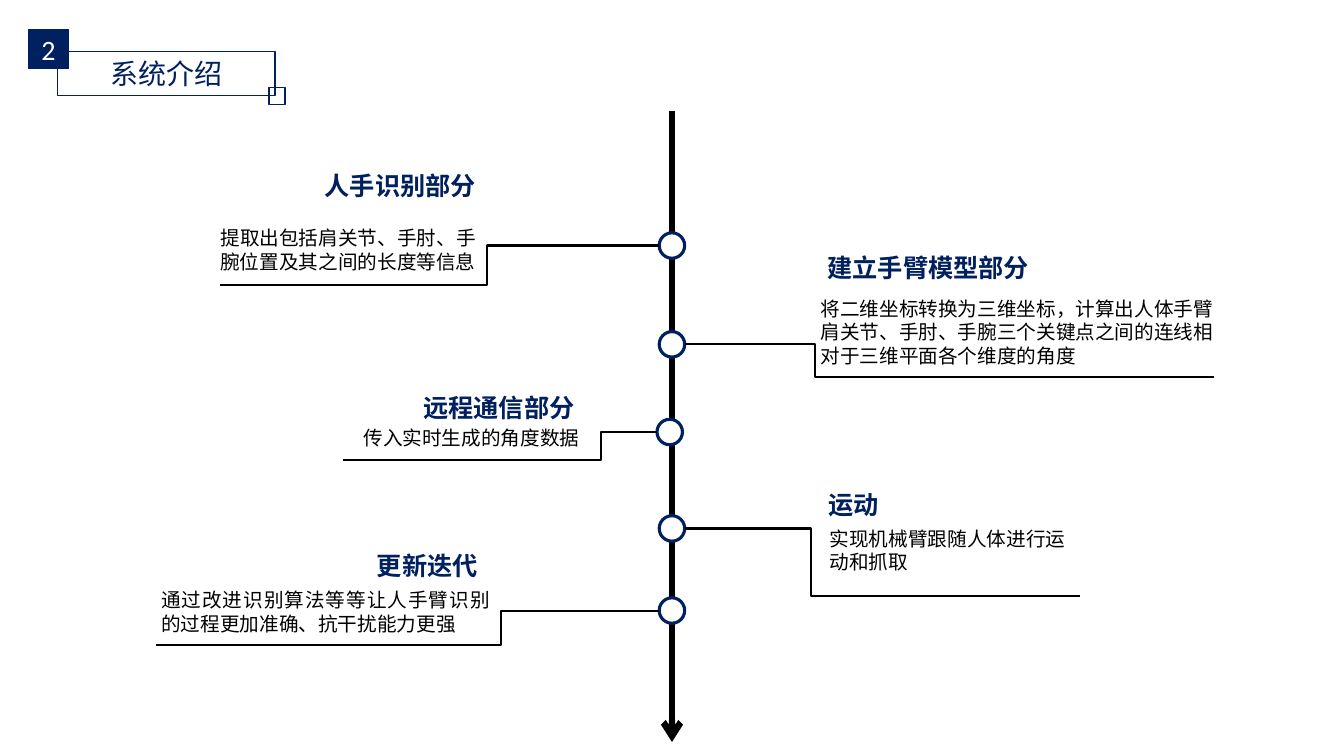
"""Build the system introduction slide: a vertical timeline with five stages."""
from lxml import etree
from pptx import Presentation
from pptx.dml.color import RGBColor
from pptx.enum import shapes, text
from pptx.oxml import ns
from pptx.util import Pt

NAVY = RGBColor(0x00, 0x20, 0x60)
BLACK = RGBColor(0x00, 0x00, 0x00)
WHITE = RGBColor(0xFF, 0xFF, 0xFF)
CJK = "Noto Sans CJK SC"
LEFT, RIGHT = text.PP_ALIGN.LEFT, text.PP_ALIGN.RIGHT
CENTER, JUSTIFY = text.PP_ALIGN.CENTER, text.PP_ALIGN.JUSTIFY
AXIS_X = 480
NODE = 18.2

prs = Presentation()
prs.slide_width, prs.slide_height = Pt(960), Pt(540)
slide = prs.slides.add_slide(prs.slide_layouts[6])
add_shape, add_connector = slide.shapes.add_shape, slide.shapes.add_connector


def write(words, box=None, holder=None, size=14, font=CJK, color=BLACK, bold=False, align=LEFT):
    holder = holder or slide.shapes.add_textbox(*map(Pt, box))
    frame = holder.text_frame
    frame.word_wrap = True
    if box:
        frame.margin_left = frame.margin_right = Pt(3.6)
        frame.margin_top = frame.margin_bottom = Pt(1.8)
    else:
        frame.vertical_anchor = text.MSO_ANCHOR.MIDDLE
    paragraph = frame.paragraphs[0]
    paragraph.alignment = align
    run = paragraph.add_run()
    run.text = words
    run.font.size, run.font.bold, run.font.name = Pt(size), bold, font
    run.font.color.rgb = color
    etree.SubElement(run._r.get_or_add_rPr(), ns.qn("a:ea"), typeface=font)


def draw(add, kind, place, color, width, fill=None):
    item = add(kind, *map(Pt, place))
    item.line.color.rgb, item.line.width = color, Pt(width)
    if add == add_connector:
        etree.SubElement(item._element.spPr, ns.qn("a:effectLst"))
        return item
    item.shadow.inherit = False
    if fill is None:
        item.fill.background()
    else:
        item.fill.solid()
        item.fill.fore_color.rgb = fill
    return item


axis = draw(add_connector, shapes.MSO_CONNECTOR.STRAIGHT, (AXIS_X, 79.4, AXIS_X, 530), BLACK, 4.5)
etree.SubElement(axis.get_or_add_ln(), ns.qn("a:tailEnd"), type="arrow")

stages = [
    (480, 175.4, 347.8, 157, 203.8, "人手识别部分", (216, 119.5, 127.5, 25.2),
     "提取出包括肩关节、手肘、手腕位置及其之间的长度等信息", (143.3, 159.8, 200.2, 37.4), RIGHT),
    (480, 246, 582.5, 867, 269.3, "建立手臂模型部分", (587.5, 178.6, 183.6, 25.2),
     "将二维坐标转换为三维坐标，计算出人体手臂肩关节、手肘、手腕三个关键点之间的连线相对于三维平面各个维度的角度",
     (582.5, 210.2, 295.2, 54.7), LEFT),
    (478.4, 308.6, 429.1, 244.8, 328.3, "远程通信部分", (279.4, 278.6, 134.6, 25.2),
     "传入实时生成的角度数据", (231.1, 302.4, 186.5, 20.9), RIGHT),
    (480, 377.5, 579.6, 771.8, 425.5, "运动", (588.2, 347.8, 183.6, 25.2),
     "实现机械臂跟随人体进行运动和抓取", (589, 374.4, 186.5, 37.4), LEFT),
    (480, 436.1, 357.8, 111.6, 460.8, "更新迭代", (210.2, 391, 134.6, 25.2),
     "通过改进识别算法等等让人手臂识别的过程更加准确、抗干扰能力更强",
     (111.6, 418.3, 241.9, 37.4), JUSTIFY),
]
for node_x, node_y, bend_x, end_x, end_y, heading, heading_box, detail, detail_box, align in stages:
    draw(add_shape, shapes.MSO_SHAPE.OVAL, (node_x - NODE / 2, node_y - NODE / 2, NODE, NODE),
         NAVY, 2.25, WHITE)
    on_right = end_x > AXIS_X
    start_x = node_x + (NODE / 2 if on_right else -NODE / 2)
    branch = draw(add_connector, shapes.MSO_CONNECTOR.ELBOW, (start_x, node_y, end_x, end_y),
                  BLACK, 1.5)
    bend = round((bend_x - start_x) / (end_x - start_x) * 100000)
    guides = branch._element.spPr.find(ns.qn("a:prstGeom")).get_or_add_avLst()
    etree.SubElement(guides, ns.qn("a:gd"), name="adj1", fmla=f"val {bend}")
    write(heading, heading_box, size=18, font="Open Sans", color=NAVY, bold=True,
          align=LEFT if on_right else RIGHT)
    write(detail, detail_box, align=align)

title = draw(add_shape, shapes.MSO_SHAPE.RECTANGLE, (41, 36.7, 155.5, 31.7), NAVY, 1)
write("系统介绍", holder=title, size=20, color=NAVY, align=CENTER)
number = draw(add_shape, shapes.MSO_SHAPE.RECTANGLE, (20.2, 20.9, 28.8, 28.1), NAVY, 1, NAVY)
write("2", holder=number, size=20, font="Calibri", color=WHITE, align=CENTER)
draw(add_shape, shapes.MSO_SHAPE.RECTANGLE, (192.2, 62.6, 11.5, 12.2), NAVY, 1)

prs.save("out.pptx")
